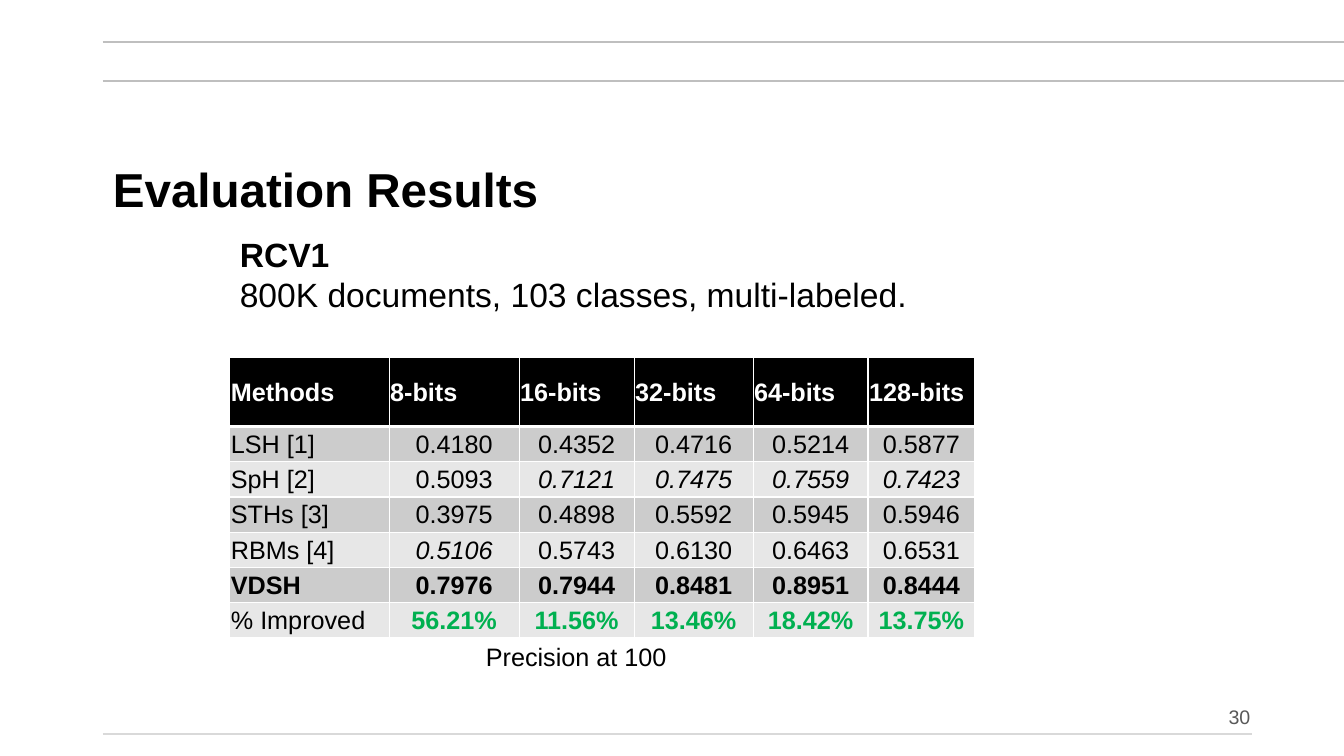
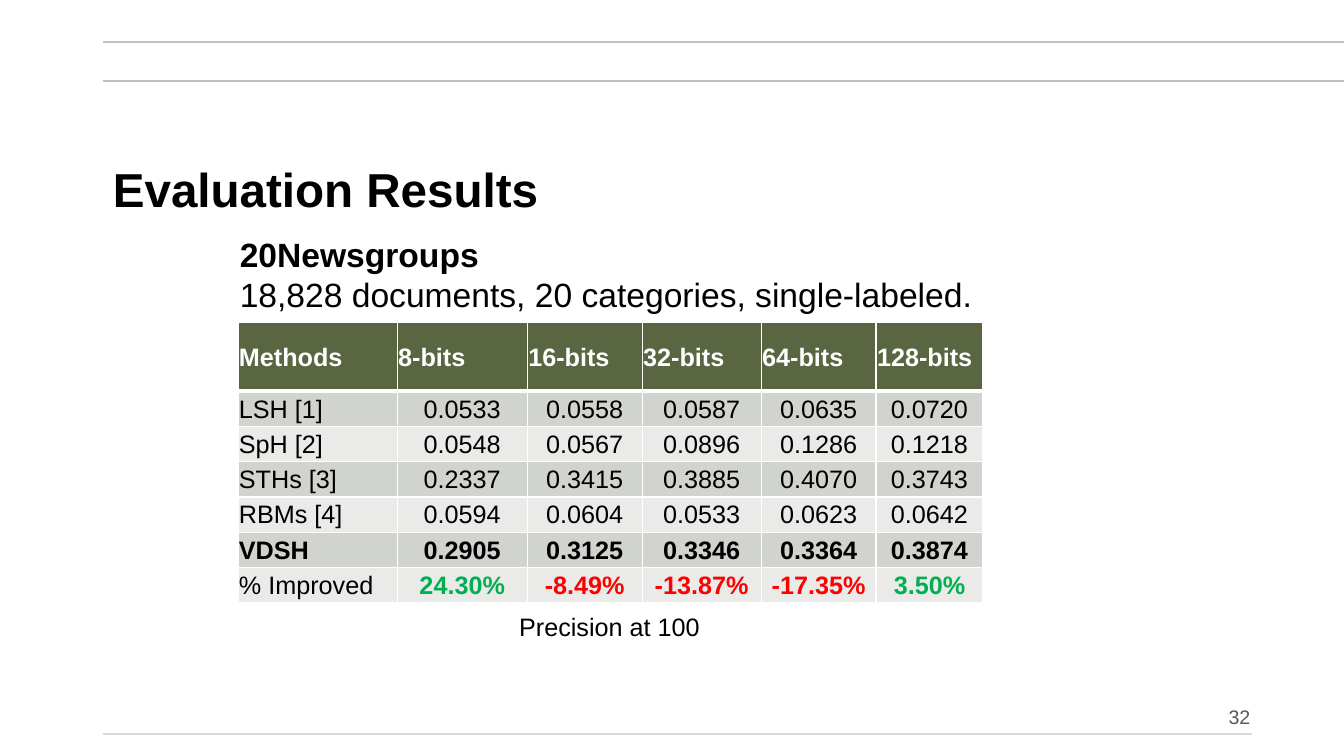
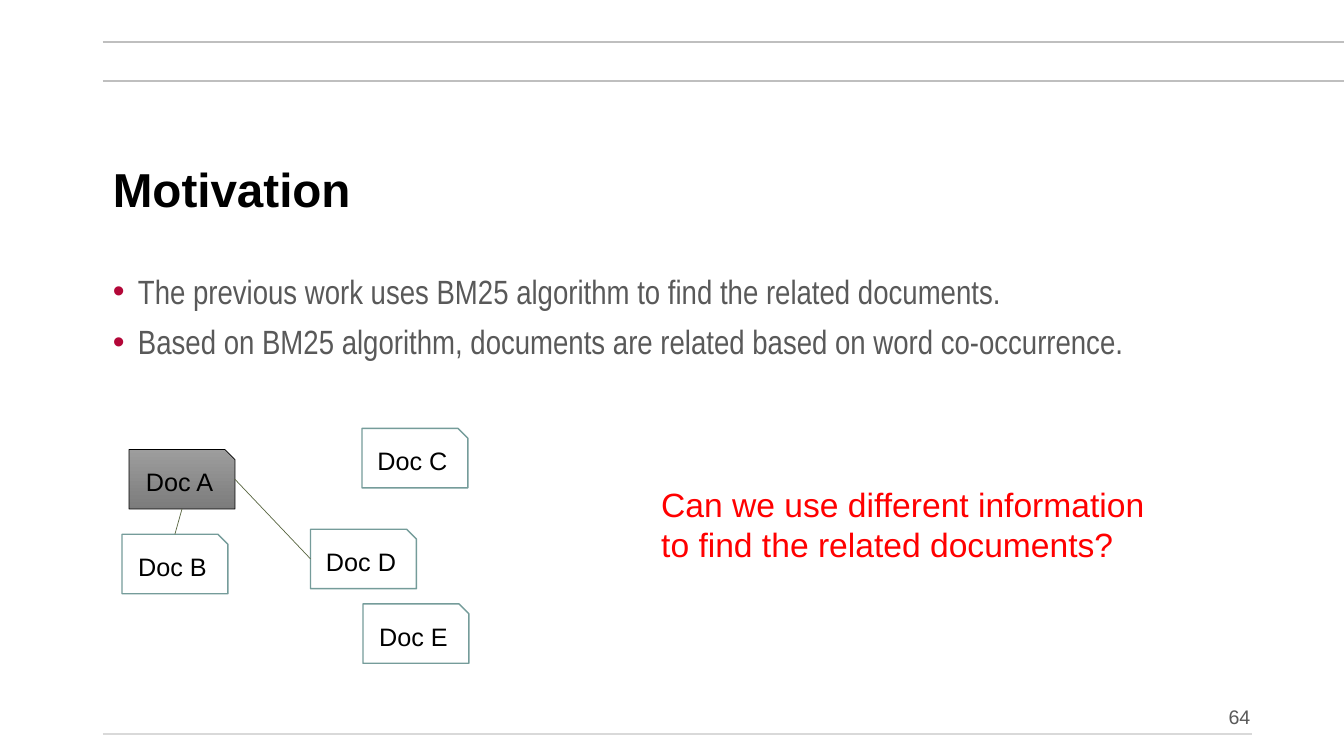
from dataclasses import dataclass

from lxml.etree import SubElement
from pptx import Presentation
from pptx.dml.color import RGBColor
from pptx.enum.shapes import MSO_CONNECTOR as Connector, MSO_SHAPE as Shape
from pptx.enum.text import MSO_ANCHOR as Anchor, MSO_AUTO_SIZE as AutoSize, PP_ALIGN as Align
from pptx.oxml.ns import qn
from pptx.util import Inches, Pt


@dataclass(frozen=True)
class Theme:
    font: str = "Arial"
    narrow_font: str = "Arial Narrow"
    title_size: int = 34
    body_size: int = 24
    label_size: int = 18
    number_size: int = 14
    black: str = "000000"
    white: str = "FFFFFF"
    grey_text: str = "595959"
    top_rule: str = "BFBFBF"
    foot_rule: str = "D9D9D9"
    bullet: str = "B30738"
    olive: str = "596641"
    teal: str = "759C9A"
    gain: str = "00B050"
    alert: str = "FF0000"
    grey_bands: tuple = ("CCCCCC", "E7E7E7")
    olive_bands: tuple = ("D1D3CF", "EAEAE9")
    doc_gradient: tuple = ("9D9D9D", "7C7C7C")


THEME = Theme()
LEFT, CONTENT_WIDTH = 1.02, 11.39
SLIDE_WIDTH = 13.33

# Results tables
COLUMN_WIDTHS = (1.58, 1.29, 1.14, 1.18, 1.14, 1.06)
HEADER_HEIGHT, ROW_HEIGHT = 0.68, 0.35
HEADINGS = ("Methods", "8-bits", "16-bits", "32-bits", "64-bits", "128-bits")
METHODS = ("LSH [1]", "SpH [2]", "STHs [3]", "RBMs [4]", "VDSH", "% Improved")
BASELINES = 4
RCV1_SCORES = (
    ("0.4180", "0.4352", "0.4716", "0.5214", "0.5877"),
    ("0.5093", "0.7121", "0.7475", "0.7559", "0.7423"),
    ("0.3975", "0.4898", "0.5592", "0.5945", "0.5946"),
    ("0.5106", "0.5743", "0.6130", "0.6463", "0.6531"),
    ("0.7976", "0.7944", "0.8481", "0.8951", "0.8444"),
    ("56.21%", "11.56%", "13.46%", "18.42%", "13.75%"),
)
NEWSGROUPS_SCORES = (
    ("0.0533", "0.0558", "0.0587", "0.0635", "0.0720"),
    ("0.0548", "0.0567", "0.0896", "0.1286", "0.1218"),
    ("0.2337", "0.3415", "0.3885", "0.4070", "0.3743"),
    ("0.0594", "0.0604", "0.0533", "0.0623", "0.0642"),
    ("0.2905", "0.3125", "0.3346", "0.3364", "0.3874"),
    ("24.30%", "-8.49%", "-13.87%", "-17.35%", "3.50%"),
)

# Document diagram
DOC_WIDTH, DOC_HEIGHT = 1.05, 0.59
DOC_PLACES = {
    "Doc A": (1.28, 4.46),
    "Doc C": (3.59, 4.25),
    "Doc D": (3.08, 5.25),
    "Doc B": (1.21, 5.3),
    "Doc E": (3.6, 5.99),
}


def rgb(colour):
    return RGBColor.from_string(colour)


# Text
def add_span(para, text, size, colour=THEME.black, bold=False, italic=False, font=THEME.font):
    span = para.add_run()
    span.text = text
    span.font.name = font
    span.font.size = Pt(size)
    span.font.bold = bold
    span.font.italic = italic
    span.font.color.rgb = rgb(colour)


def next_para(frame, index):
    return frame.add_paragraph() if index else frame.paragraphs[0]


def add_text(page, place, lines, size, colour=THEME.black, bold_first=False):
    box = page.shapes.add_textbox(*map(Inches, place))
    frame = box.text_frame
    frame.word_wrap = False
    frame.auto_size = AutoSize.SHAPE_TO_FIT_TEXT
    for index, line in enumerate(lines):
        add_span(next_para(frame, index), line, size, colour, bold=bold_first and index == 0)


def add_bullets(page, place, lines):
    frame = page.shapes.add_textbox(*map(Inches, place)).text_frame
    frame.word_wrap = True
    for index, line in enumerate(lines):
        para = next_para(frame, index)
        props = para._p.get_or_add_pPr()
        props.set("marL", str(Inches(0.25)))
        props.set("indent", str(-Inches(0.25)))
        colour = SubElement(props, qn("a:buClr"))
        SubElement(colour, qn("a:srgbClr"), val=THEME.bullet)
        SubElement(props, qn("a:buFont"), typeface=THEME.font)
        SubElement(props, qn("a:buChar"), char="•")
        para.line_spacing = 0.9
        if index:
            para.space_before = Pt(10)
        add_span(para, line, THEME.body_size, THEME.grey_text, font=THEME.narrow_font)


# Lines and page frame
def add_line(page, start, end, colour, width):
    line = page.shapes.add_connector(Connector.STRAIGHT, *map(Inches, start + end))
    line.line.color.rgb = rgb(colour)
    line.line.width = Pt(width)
    SubElement(line.element.spPr, qn("a:effectLst"))
    return line


def add_layout_rules(page):
    """Draw the shared rules and move them to the page's layout."""
    rules = ((0.8, SLIDE_WIDTH, THEME.top_rule),
             (0.42, SLIDE_WIDTH, THEME.top_rule),
             (7.28, LEFT + 11.4, THEME.foot_rule))
    for y, right, colour in rules:
        rule = add_line(page, (LEFT, y), (right, y), colour, 1.5)
        page.slide_layout.shapes.element.append(rule.element)


def add_page(deck, title, number):
    page = deck.slides.add_slide(deck.slide_layouts[5])
    # Title
    box = page.shapes.title
    box.left, box.top, box.width, box.height = map(Inches, (LEFT, 1.28, CONTENT_WIDTH, 1.25))
    box.text_frame.vertical_anchor = Anchor.MIDDLE
    para = box.text_frame.paragraphs[0]
    para.alignment = Align.LEFT
    para.line_spacing = 0.9
    add_span(para, title, THEME.title_size, bold=True)
    # Page number
    frame = page.shapes.add_textbox(*map(Inches, (8.26, 6.84, 4.24, 0.44))).text_frame
    frame.word_wrap = True
    frame.vertical_anchor = Anchor.BOTTOM
    para = frame.paragraphs[0]
    para.alignment = Align.RIGHT
    para.line_spacing = 0.9
    add_span(para, str(number), THEME.number_size, THEME.grey_text)
    return page


# Table
def set_borders(cell, top, bottom):
    props = cell._tc.get_or_add_tcPr()
    for side, width in (("L", 1), ("R", 1), ("T", top), ("B", bottom)):
        border = SubElement(props, qn(f"a:ln{side}"), w=str(Pt(width)))
        fill = SubElement(border, qn("a:solidFill"))
        SubElement(fill, qn("a:srgbClr"), val=THEME.white)


def fill_cell(cell, text, fill, align, top=1, bottom=1, **style):
    set_borders(cell, top, bottom)
    cell.fill.solid()
    cell.fill.fore_color.rgb = rgb(fill)
    cell.margin_left = cell.margin_top = cell.margin_right = Inches(0.01)
    cell.margin_bottom = 0
    cell.vertical_anchor = Anchor.MIDDLE
    para = cell.text_frame.paragraphs[0]
    para.alignment = align
    add_span(para, text, THEME.label_size, **style)


def score_style(method, text, is_best_baseline):
    if method == "% Improved":
        return {"bold": True, "colour": THEME.alert if text.startswith("-") else THEME.gain}
    return {"bold": method == "VDSH", "italic": is_best_baseline}


def add_results(page, left, top, scores, header_fill, bands, mark_best=False):
    height = HEADER_HEIGHT + ROW_HEIGHT * len(METHODS)
    table = page.shapes.add_table(len(METHODS) + 1, len(HEADINGS), Inches(left), Inches(top),
                                  Inches(sum(COLUMN_WIDTHS)), Inches(height)).table
    for column, width in zip(table.columns, COLUMN_WIDTHS):
        column.width = Inches(width)
    for index, row in enumerate(table.rows):
        row.height = Inches(ROW_HEIGHT if index else HEADER_HEIGHT)

    for col, heading in enumerate(HEADINGS):
        fill_cell(table.cell(0, col), heading, header_fill, Align.LEFT, bottom=3,
                  bold=True, colour=THEME.white)
    best = [max(column[:BASELINES]) for column in zip(*scores)]
    for index, (method, values) in enumerate(zip(METHODS, scores)):
        row, fill = index + 1, bands[index % 2]
        top_border = 1 if index else 3
        fill_cell(table.cell(row, 0), method, fill, Align.LEFT, top_border,
                  bold=method == "VDSH")
        for col, value in enumerate(values):
            is_best = mark_best and index < BASELINES and value == best[col]
            fill_cell(table.cell(row, col + 1), value, fill, Align.CENTER, top_border,
                      **score_style(method, value, is_best))


# Diagram
def add_doc(page, name, selected=False):
    left, top = DOC_PLACES[name]
    doc = page.shapes.add_shape(Shape.SNIP_1_RECTANGLE,
                                *map(Inches, (left, top, DOC_WIDTH, DOC_HEIGHT)))
    doc.shadow.inherit = False
    if selected:
        doc.fill.gradient()
        doc.fill.gradient_angle = 270
        for stop, colour in zip(doc.fill.gradient_stops, THEME.doc_gradient):
            stop.color.rgb = rgb(colour)
    else:
        doc.fill.solid()
        doc.fill.fore_color.rgb = rgb(THEME.white)
    doc.line.color.rgb = rgb(THEME.black if selected else THEME.teal)
    doc.line.width = Pt(0.5 if selected else 1)
    doc.text_frame.vertical_anchor = Anchor.MIDDLE
    para = doc.text_frame.paragraphs[0]
    para.alignment = Align.CENTER
    add_span(para, name, THEME.label_size)


def doc_point(name, across, down):
    left, top = DOC_PLACES[name]
    return left + across * DOC_WIDTH, top + down * DOC_HEIGHT


def add_diagram(page):
    for name in DOC_PLACES:
        add_doc(page, name, selected=name == "Doc A")
    links = ((doc_point("Doc A", 0.5, 1), doc_point("Doc B", 0.5, 0)),
             (doc_point("Doc A", 1, 0.5), doc_point("Doc D", 0, 0.5)))
    for start, end in links:
        add_line(page, start, end, THEME.olive, 0.5)


def main():
    deck = Presentation()
    deck.slide_width, deck.slide_height = Inches(SLIDE_WIDTH), Inches(7.5)

    # RCV1 results
    page = add_page(deck, "Evaluation Results", 30)
    add_layout_rules(page)
    add_text(page, (2.28, 2.27, 6.89, 0.91),
             ("RCV1", "800K documents, 103 classes, multi-labeled."),
             THEME.body_size, bold_first=True)
    add_results(page, 2.28, 3.55, RCV1_SCORES, THEME.black, THEME.grey_bands, mark_best=True)
    add_text(page, (4.72, 6.31, 2.01, 0.4), ("Precision at 100",), THEME.label_size)

    # 20Newsgroups results
    page = add_page(deck, "Evaluation Results", 32)
    add_text(page, (2.28, 2.27, 7.54, 0.91),
             ("20Newsgroups", "18,828 documents, 20 categories, single-labeled."),
             THEME.body_size, bold_first=True)
    add_results(page, 2.36, 3.2, NEWSGROUPS_SCORES, THEME.olive, THEME.olive_bands)
    add_text(page, (5.05, 6.02, 2.01, 0.4), ("Precision at 100",), THEME.label_size)

    # Motivation
    page = add_page(deck, "Motivation", 64)
    add_bullets(page, (LEFT, 2.68, CONTENT_WIDTH, 1.2), (
        "The previous work uses BM25 algorithm to find the related documents.",
        "Based on BM25 algorithm, documents are related based on word co-occurrence.",
    ))
    add_diagram(page)
    add_text(page, (6.46, 4.75, 5.14, 0.91),
             ("Can we use different information", "to find the related documents?"),
             THEME.body_size, THEME.alert)

    deck.save("out.pptx")


if __name__ == "__main__":
    main()
